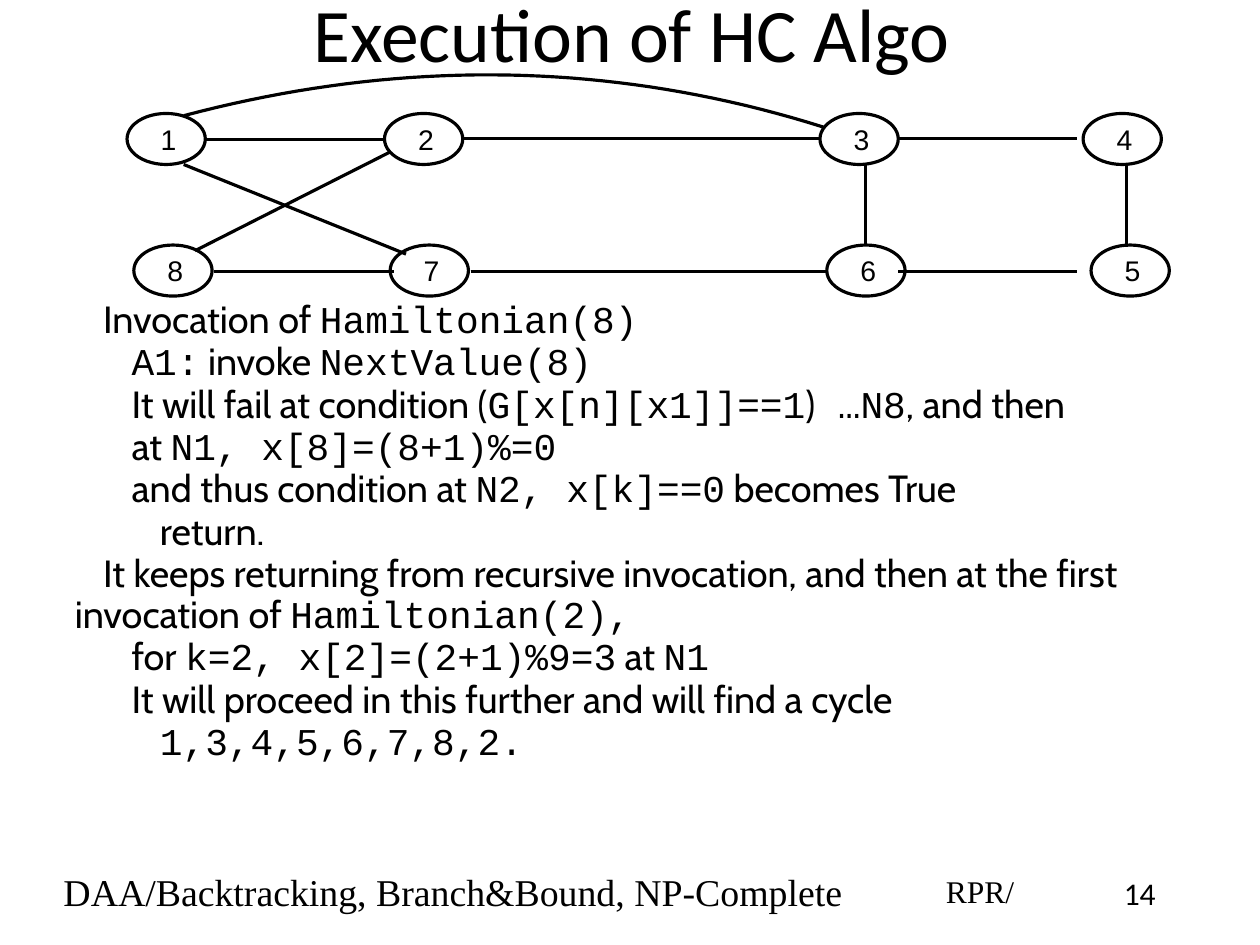
from lxml import etree
from pptx import Presentation
from pptx import util as u
from pptx.dml.color import RGBColor
from pptx.enum import shapes, text
from pptx.oxml.ns import qn

PX = 9144
HUES = {"ink": "000000"}
FONTS = {"head": "Calibri", "body": "Cabin", "code": "Courier New",
         "foot": "Times New Roman", "node": "Arial"}
MID = text.MSO_ANCHOR.MIDDLE
TOP = text.MSO_ANCHOR.TOP
MARK = "`"

NODE = (69, 45)
NODES = [("1", 112, 100), ("2", 339, 100), ("3", 723, 100), ("4", 955, 100),
         ("8", 118, 216), ("7", 344, 216), ("6", 729, 216), ("5", 962, 216)]
EDGES = [(181, 123, 339, 123), (408, 122, 723, 122), (792, 122, 950, 122),
         (189, 239, 347, 239), (415, 239, 730, 239), (792, 239, 950, 239),
         (162, 145, 358, 224), (172, 221, 344, 134),
         (763, 145, 763, 217), (993, 146, 993, 218)]
ARC = [(162, 102), (354, 51), (542, 54), (726, 112)]

STEPS = [
    (1, "Invocation of `Hamiltonian(8)"),
    (2, "`A1:` invoke `NextValue(8)"),
    (2, "It will fail at condition (`G[x[n][x1]]==1`)` …N8`, and then"),
    (2, "at `N1, x[8]=(8+1)%=0"),
    (2, "and thus condition at `N2, x[k]==0` becomes True"),
    (3, "return."),
    (1, "It keeps returning from recursive invocation, and then at the first "
        "invocation of `Hamiltonian(2),"),
    (2, "for `k=2, x[2]=(2+1)%9=3` at `N1"),
    (2, "It will proceed in this further and will find a cycle"),
    (3, "`1,3,4,5,6,7,8,2."),
]


def write(para, words, font="body", size=24, align="LEFT", left=0, first=0,
          level=0, lead=None, gap=0):
    para.level = level
    para.alignment = getattr(text.PP_ALIGN, align)
    para.line_spacing = lead
    para.space_before = u.Pt(gap)
    props = para._p.get_or_add_pPr()
    props.set("marL", str(left * PX))
    props.set("indent", str(first * PX))
    etree.SubElement(props, qn("a:buNone"))
    for i, part in enumerate(words.split(MARK)):
        if part:
            run = para.add_run()
            run.text = part
            run.font.name = FONTS["code" if i % 2 else font]
            run.font.size = u.Pt(size)
            run.font.color.rgb = RGBColor.from_string(HUES["ink"])


class Deck:
    def __init__(self, wide, high):
        self.prs = Presentation()
        self.prs.slide_width = wide * PX
        self.prs.slide_height = high * PX
        self.slide = self.prs.slides.add_slide(self.prs.slide_layouts[1])
        self.items = self.slide.shapes

    def frame(self, shape, anchor):
        box = shape.text_frame
        box.auto_size = text.MSO_AUTO_SIZE.NONE
        box.word_wrap = True
        box.vertical_anchor = anchor
        box.margin_left = box.margin_right = 6 * PX
        box.margin_top = box.margin_bottom = 6 * PX
        return box

    def place(self, shape, x, y, w, h):
        shape.left, shape.top = x * PX, y * PX
        shape.width, shape.height = w * PX, h * PX

    def ink(self, item):
        item.line.color.rgb = RGBColor.from_string(HUES["ink"])
        item.line.width = u.Pt(2)

    def title(self, words, *area):
        shape = self.items.title
        self.place(shape, *area)
        write(self.frame(shape, MID).paragraphs[0], words, font="head",
              size=48, align="CENTER", left=4)

    def list(self, steps, *area):
        shape = self.slide.placeholders[1]
        self.place(shape, *area)
        box = self.frame(shape, TOP)
        for i, (level, words) in enumerate(steps):
            para = box.add_paragraph() if i else box.paragraphs[0]
            write(para, words, first=25 * level, level=level, lead=0.9, gap=1)

    def label(self, words, area, anchor=MID, **style):
        shape = self.items.add_textbox(*(n * PX for n in area))
        write(self.frame(shape, anchor).paragraphs[0], words, **style)

    def node(self, name, x, y):
        shape = self.items.add_shape(shapes.MSO_SHAPE.OVAL,
                                     *(n * PX for n in (x, y, *NODE)))
        shape.shadow.inherit = False
        shape.fill.background()
        self.ink(shape)
        write(self.frame(shape, MID).paragraphs[0], name, font="node",
              size=18, align="CENTER", left=4)

    def edge(self, *ends):
        line = self.items.add_connector(shapes.MSO_CONNECTOR.STRAIGHT,
                                        *(n * PX for n in ends))
        self.ink(line)
        etree.SubElement(line._element.spPr, qn("a:effectLst"))

    def curve(self, knots, count=40):
        dots = []
        for i in range(count + 1):
            t = i / count
            mix = ((1 - t) ** 3, 3 * t * (1 - t) ** 2, 3 * t * t * (1 - t), t ** 3)
            dots.append(tuple(sum(m * k[a] for m, k in zip(mix, knots)) * PX
                              for a in (0, 1)))
        pen = self.items.build_freeform(*dots[0])
        pen.add_line_segments(dots[1:], close=False)
        shape = pen.convert_to_shape()
        shape.shadow.inherit = False
        shape.fill.background()
        self.ink(shape)


def main():
    deck = Deck(1111, 833)
    deck.title("Execution of HC Algo", 83, -12, 944, 81)
    deck.list(STEPS, 60, 259, 990, 506)
    deck.label("14", (972, 764, 66, 42), TOP, font="head", size=20, align="CENTER")
    deck.label("DAA/Backtracking, Branch&Bound, NP-Complete",
               (46, 762, 704, 47), font="foot", left=4)
    deck.label("RPR/", (824, 764, 77, 42), font="foot", size=20, left=4)
    for node in NODES:
        deck.node(*node)
    for edge in EDGES:
        deck.edge(*edge)
    deck.curve(ARC)
    deck.prs.save("out.pptx")


if __name__ == "__main__":
    main()
